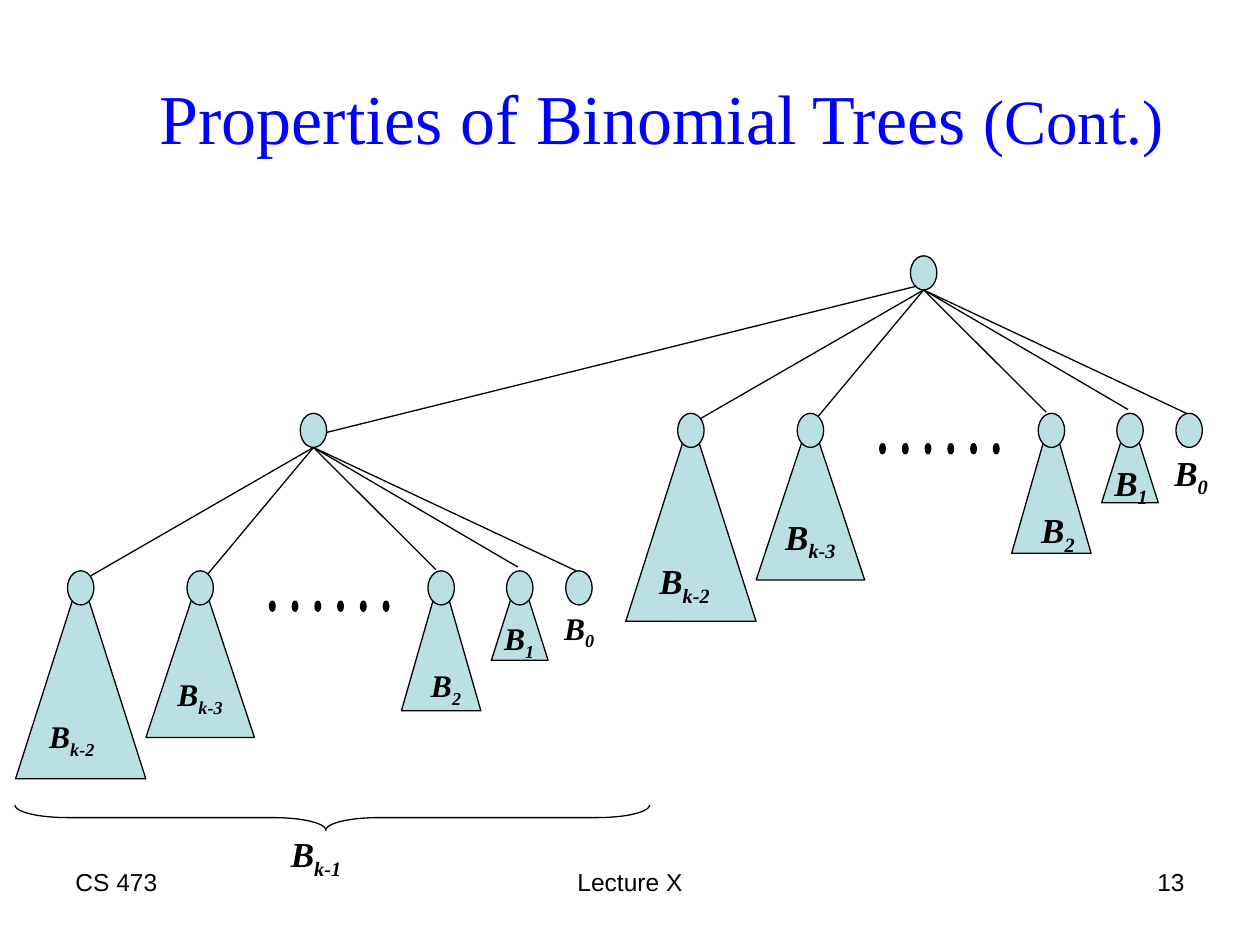
from pptx import Presentation
from pptx.dml.color import RGBColor
from pptx.enum.shapes import MSO_CONNECTOR, MSO_SHAPE
from pptx.enum.text import MSO_ANCHOR, PP_ALIGN
from pptx.oxml.ns import qn
from pptx.util import Pt
from lxml.etree import SubElement

BLACK = RGBColor(0x00, 0x00, 0x00)
BLUE = RGBColor(0x00, 0x00, 0xFF)
TEAL = RGBColor(0xBB, 0xE0, 0xE3)
SERIF, SANS = "Times New Roman", "Arial"
THIN = 0.74
NODE_W, NODE_H = 15.1, 19.5
DROP = 90  # from the root down to its children

# name, centre x, triangle (top, width, height), edge end, label place
KIDS = [
    ("k-2", 37.5, (92.2, 74.4, 116.6), (43.2, 92.9), (12.4, 169.9)),
    ("k-3", 105.8, (91.6, 62, 93.6), (108.7, 93.6), None),
    ("2", 243.5, (90.8, 45.4, 79.2), (240.5, 89.3), (230.6, 141.1)),
    ("1", 288.4, (90, 32.4, 51.1), (287.3, 87.8), (272.4, 113.8)),
    ("0", 322.2, None, (328.3, 93.6), (306.7, 108)),
]


def add_run(para, text, size, face, color=BLACK):
    """Add one run of text and return it."""
    run = para.add_run()
    run.text = text
    font = run.font
    font.size, font.name, font.color.rgb = Pt(size), face, color
    return run


def add_name(frame, sub, size):
    """Write B with a subscript into a text frame."""
    frame.word_wrap = False
    para = frame.paragraphs[0]
    for text in ("B", sub):
        run = add_run(para, text, size, SERIF)
        run.font.bold = run.font.italic = True
    run._r.get_or_add_rPr().set("baseline", "-25000")
    return para


def add_label(slide, x, y, sub, size):
    """Place a free-standing tree name."""
    wide = 14.4 + size * (1.44 if len(sub) > 1 else 0.95)
    box = slide.shapes.add_textbox(
        Pt(x), Pt(y), Pt(wide), Pt(7.2 + 1.36 * size))
    add_name(box.text_frame, sub, size)


def add_form(slide, kind, x, y, w, h, fill=TEAL):
    """Place a thinly outlined preset shape; no fill when fill is None."""
    form = slide.shapes.add_shape(kind, Pt(x), Pt(y), Pt(w), Pt(h))
    form.shadow.inherit = False
    if fill is None:
        form.fill.background()
    else:
        form.fill.solid()
        form.fill.fore_color.rgb = fill
    form.line.color.rgb = BLACK
    form.line.width = Pt(THIN)
    return form


def add_edge(slide, x1, y1, x2, y2):
    """Draw a straight edge."""
    edge = slide.shapes.add_connector(
        MSO_CONNECTOR.STRAIGHT, Pt(x1), Pt(y1), Pt(x2), Pt(y2))
    edge.line.color.rgb = BLACK
    edge.line.width = Pt(THIN)
    SubElement(edge._element.spPr, qn("a:effectLst"))


def add_tree(slide, left, top, size):
    """Draw a root with its subtrees, from the box's top left corner."""
    root = 170.5
    for sub, mid, cone, _, spot in reversed(KIDS):
        if cone:
            drop, w, h = cone
            form = add_form(slide, MSO_SHAPE.ISOSCELES_TRIANGLE,
                            left + mid - w / 2, top + drop, w, h)
            if not spot:
                form.text_frame.vertical_anchor = MSO_ANCHOR.MIDDLE
                add_name(form.text_frame, sub, size).alignment = PP_ALIGN.CENTER
    for i in range(6):
        add_form(slide, MSO_SHAPE.OVAL, left + 145.4 + 13 * i, top + 107.3,
                 3.2, 5.8, BLACK)
    for sub, _, _, end, spot in KIDS:
        add_edge(slide, left + root, top + NODE_H, left + end[0], top + end[1])
        if spot:
            add_label(slide, left + spot[0], top + spot[1], sub, size)
    nodes = [(kid[1], DROP) for kid in KIDS] + [(root, 0)]
    for mid, drop in nodes:
        add_form(slide, MSO_SHAPE.OVAL, left + mid - NODE_W / 2, top + drop,
                 NODE_W, NODE_H)


def add_brace(slide, left, top, wide, high):
    """Draw a brace that opens upward, with its name below."""
    brace = add_form(slide, MSO_SHAPE.LEFT_BRACE, left + (wide - high) / 2,
                     top + (high - wide) / 2, high, wide, None)
    brace.rotation = 270
    brace.adjustments[0] = 2.08
    brace.adjustments[1] = 0.49
    add_label(slide, left + 150.5, top + 12.3, "k-1", 20)


def add_title(slide, left, top, wide, high):
    """Place and fill the title."""
    title = slide.shapes.title
    title.left, title.top = Pt(left), Pt(top)
    title.width, title.height = Pt(wide), Pt(high)
    frame = title.text_frame
    frame.vertical_anchor = MSO_ANCHOR.MIDDLE
    para = frame.paragraphs[0]
    para.alignment = PP_ALIGN.CENTER
    add_run(para, "Properties of Binomial Trees ", 40, SERIF, BLUE)
    add_run(para, "(Cont.)", 36, SERIF, BLUE)


def add_foot(slide, left, top, wide, high):
    """Place the three footer texts across the box."""
    side, mid = 168, 228
    parts = [
        ("CS 473", left, side, PP_ALIGN.LEFT),
        ("Lecture X", left + (wide - mid) / 2, mid, PP_ALIGN.CENTER),
        ("13", left + wide - side, side, PP_ALIGN.RIGHT),
    ]
    for text, x, w, align in parts:
        box = slide.shapes.add_textbox(Pt(x), Pt(top), Pt(w), Pt(high))
        box.text_frame.word_wrap = True
        para = box.text_frame.paragraphs[0]
        para.alignment = align
        add_run(para, text, 14, SANS)


def main():
    """Build and save the slide."""
    deck = Presentation()
    deck.slide_width, deck.slide_height = Pt(720), Pt(540)
    slide = deck.slides.add_slide(deck.slide_layouts[5])
    add_foot(slide, 36, 492, 648, 37.5)
    add_title(slide, 36, 21.6, 684, 90)
    add_edge(slide, 184.3, 247.7, 529.9, 162)
    add_brace(slide, 8.6, 460, 362.6, 14.4)
    add_tree(slide, 8.6, 236.2, 18)
    add_tree(slide, 357.3, 146.2, 20)
    deck.save("out.pptx")


main()
